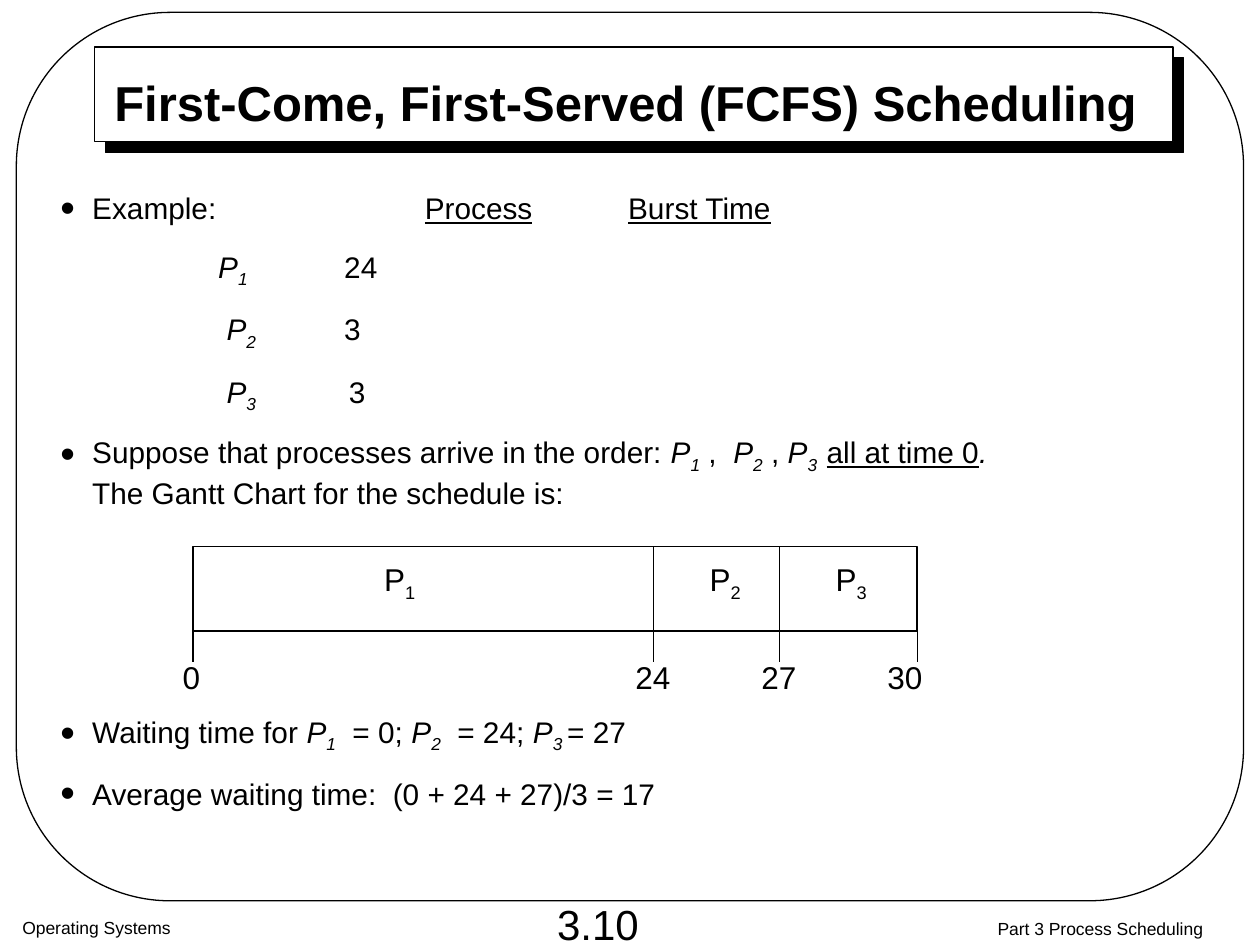
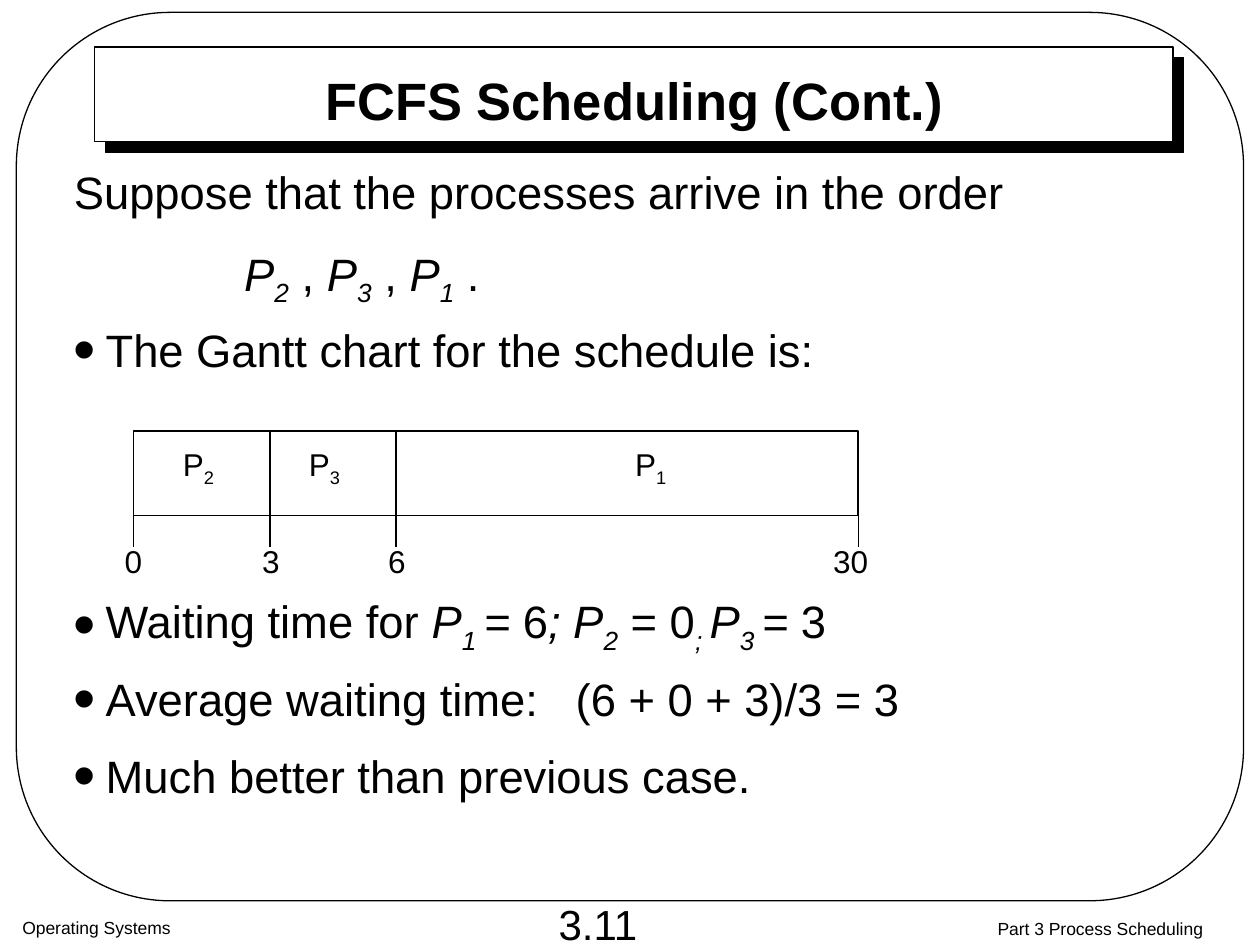
from lxml import etree
from pptx import Presentation
from pptx.dml.color import RGBColor
from pptx.enum.shapes import MSO_CONNECTOR as Wire, MSO_SHAPE as Form
from pptx.enum.text import MSO_ANCHOR as Anchor, PP_ALIGN as Align
from pptx.oxml.ns import qn
from pptx.util import Cm, Pt

hue = RGBColor.from_string
INK, PAPER, FONT = "000000", "FFFFFF", "Arial"


def write(par, size, bits):
    for text, style in bits:
        if text == "\n":
            par.add_line_break()
            continue
        run = par.add_run()
        run.text = text
        font = run.font
        font.name, font.size = FONT, Pt(size)
        font.color.rgb = hue(INK)
        font.bold, font.italic, font.underline = ("b" in style, "i" in style, "u" in style)
        if "s" in style:
            run._r.get_or_add_rPr().set("baseline", "-25000")


def frame(page, x, y, w, h, align=Align.CENTER, anchor=Anchor.MIDDLE):
    body = page.shapes.add_textbox(Cm(x), Cm(y), Cm(w), Cm(h)).text_frame
    body.word_wrap = True
    body.vertical_anchor = anchor
    body.paragraphs[0].alignment = align
    return body


P1, P2, P3 = ([("P", "i"), (num, "is")] for num in "123")
HEADS = [(8.43, "ctr"), (12.88, "ctr")]
STOPS = [(3.18, "l"), (5.72, "l")]

pages = [
    dict(
        num="3.10", title="First-Come, First-Served (FCFS) Scheduling", size=28, mid=12.61, high=2.06,
        body=(0.97, 3.71), text=17,
        lines=[
            (0, True, HEADS, [("Example:\t", ""), ("Process", "u"), ("\t", ""), ("Burst Time", "u")]),
            (13, False, STOPS, [("\t", ""), *P1, ("\t", "is"), ("24", "")]),
            (12.5, False, STOPS, [("\t ", ""), *P2, ("\t", "is"), ("3", "")]),
            (12.5, False, STOPS, [("\t ", ""), *P3, ("\t ", "is"), ("3", "")]),
            (11.2, True, [], [
                ("Suppose that processes arrive in the order: ", ""), *P1, (" ,  ", ""), *P2, (" , ", ""),
                *P3, ("  ", "is"), ("all at time 0", "u"), (".", "i"), ("\n", ""),
                ("The Gantt Chart for the schedule is:", "")]),
            (116, True, [], [
                ("Waiting time for ", ""), *P1, ("  = 0; ", ""), *P2, ("  = 24; ", ""),
                *P3, (" ", "is"), ("= 27", "")]),
            (12.5, True, [], [("Average waiting time:  (0 + 24 + 27)/3 = 17", "")]),
        ],
        top=11.02,
        marks=[("0", 3.89, 3.86), ("24", 13.18, 13.16), ("27", 15.72, 15.7), ("30", 18.49, 18.24)],
        jobs=[("1", 8.06), ("2", 14.62), ("3", 17.16)],
    ),
    dict(
        num="3.11", title="FCFS Scheduling (Cont.)", size=30, mid=12.79, high=2.01,
        body=(1.24, 3.18), text=25.9,
        lines=[
            (0, False, [], [("Suppose that the processes arrive in the order", "")]),
            (16, False, STOPS, [("\t ", ""), *P2, (" , ", ""), *P3, (" , ", ""), *P1, (" .", "")]),
            (8, True, [], [("The Gantt chart for the schedule is:", "")]),
            (124, True, [], [
                ("Waiting time for ", ""), *P1, (" ", "is"), ("=", "i"), (" 6", ""), ("; ", "i"),
                *P2, (" = 0", ""), ("; ", "is"), *P3, (" ", "is"), ("= ", "i"), ("3", "")]),
            (9, True, [], [("Average waiting time:   (6 + 0 + 3)/3 = 3", "")]),
            (13, True, [], [("Much better than previous case.", "")]),
        ],
        top=8.69,
        marks=[("0", 2.69, 2.69), ("3", 5.44, 5.46), ("6", 7.98, 8), ("30", 17.3, 17.15)],
        jobs=[("2", 4), ("3", 6.54), ("1", 13.12)],
    ),
]

deck = Presentation()
deck.slide_width, deck.slide_height = Cm(25.4), Cm(19.05)
BAR, TICK = 1.7, 0.63

for data in pages:
    page = deck.slides.add_slide(deck.slide_layouts[6])
    top, marks = data["top"], data["marks"]
    start, end = marks[0][1], marks[-1][1]

    plates = []
    for form, x, y, w, h, full in (
        (Form.RECTANGLE, 1.91, 0.95, 21.74, 1.91, True),
        (Form.ROUNDED_RECTANGLE, 0.33, 0.25, 24.74, 17.91, False),
        (Form.RECTANGLE, start, top, end - start, BAR, True),
    ):
        plate = page.shapes.add_shape(form, Cm(x), Cm(y), Cm(w), Cm(h))
        plate.shadow.inherit = False
        plate.line.color.rgb = hue(INK)
        plate.line.width = Pt(0.75)
        if full:
            plate.fill.solid()
            plate.fill.fore_color.rgb = hue(PAPER)
        else:
            plate.fill.background()
            plate.adjustments[0] = 0.173
        plates.append(plate)

    glow = plates[0]._element.spPr.find(qn("a:effectLst"))
    cast = etree.SubElement(glow, qn("a:outerShdw"), dist=str(Pt(8.5)), dir="2700000", algn="ctr", rotWithShape="0")
    etree.SubElement(cast, qn("a:srgbClr"), val=INK)

    for text, size, x, y, w, h, align, style in (
        ("Operating Systems", 10, 0.2, 18.36, 9.8, 0.8, Align.LEFT, ""),
        ("Part 3 Process Scheduling", 10, 19.18, 18.38, 6, 0.8, Align.CENTER, ""),
        (data["num"], 24, 9.53, 17.98, 5.05, 1.27, Align.CENTER, ""),
        (data["title"], data["size"], data["mid"] - 11.5, data["high"] - 0.64, 23, 1.27, Align.CENTER, "b"),
    ):
        anchor = Anchor.TOP if size == 10 else Anchor.MIDDLE
        body = frame(page, x, y, w, h, align, anchor)
        write(body.paragraphs[0], size, [(text, style)])

    x, y = data["body"]
    body = frame(page, x, y, 23.5, 13.3, Align.LEFT, Anchor.TOP)
    for row, (gap, dot, stops, bits) in enumerate(data["lines"]):
        par = body.add_paragraph() if row else body.paragraphs[0]
        par.space_before = Pt(gap)
        props = par._p.get_or_add_pPr()
        if dot:
            props.set("marL", str(Cm(0.64)))
            props.set("indent", str(-Cm(0.64)))
            tint = etree.SubElement(props, qn("a:buClr"))
            etree.SubElement(tint, qn("a:srgbClr"), val=INK)
            etree.SubElement(props, qn("a:buSzPct"), val="140000")
            etree.SubElement(props, qn("a:buFont"), typeface=FONT)
            etree.SubElement(props, qn("a:buChar"), char="•")
        if stops:
            tabs = etree.SubElement(props, qn("a:tabLst"))
            for pos, kind in stops:
                etree.SubElement(tabs, qn("a:tab"), pos=str(Cm(pos)), algn=kind)
        write(par, data["text"], bits)

    for text, x, mid in marks:
        edge = x in (start, end)
        head = top + BAR if edge else top
        wire = page.shapes.add_connector(Wire.STRAIGHT, Cm(x), Cm(head), Cm(x), Cm(top + BAR + TICK))
        wire.line.color.rgb = hue(INK)
        wire.line.width = Pt(0.75)
        etree.SubElement(wire._element.spPr, qn("a:effectLst"))
        body = frame(page, mid - 0.75, top + 2.11, 1.5, 1.02)
        write(body.paragraphs[0], 18, [(text, "")])

    for num, mid in data["jobs"]:
        body = frame(page, mid - 0.75, top + 0.15, 1.5, 1.12)
        write(body.paragraphs[0], 18, [("P", ""), (num, "s")])

deck.save("out.pptx")
